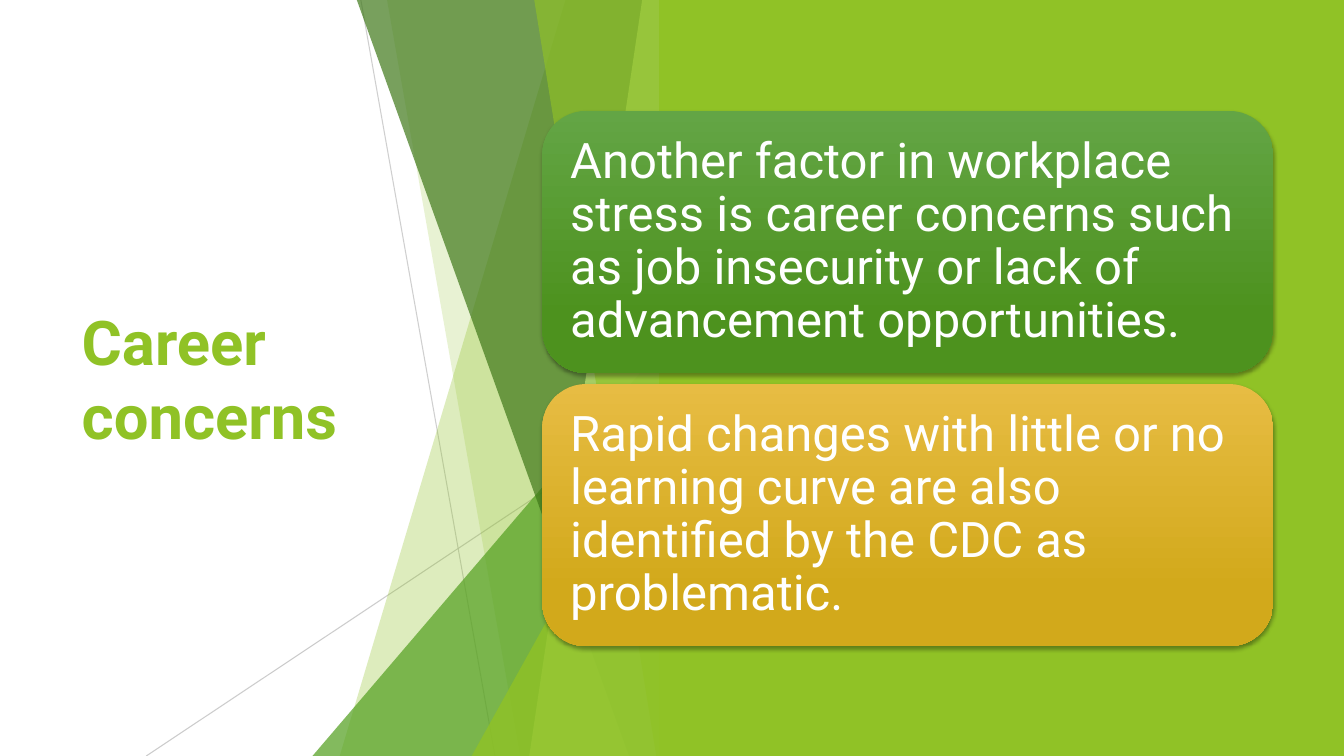
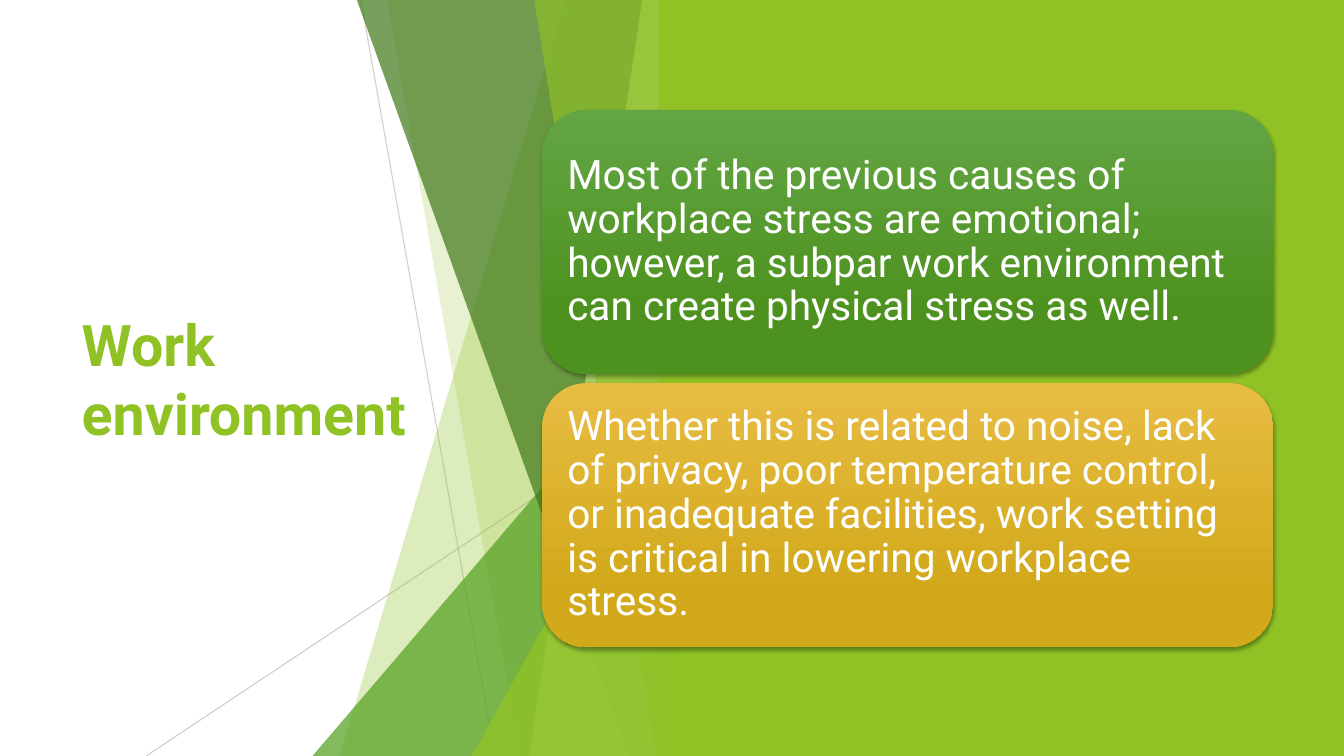
from dataclasses import dataclass

from lxml import etree
from pptx import Presentation
from pptx import util as u
from pptx.dml.color import RGBColor
from pptx.enum import shapes, text
from pptx.oxml import ns

# Slide size; every place below is a percentage of it
WIDE, HIGH = u.Inches(40 / 3), u.Inches(7.5)

# Colours and type
FONT = "Roboto"
WHITE = RGBColor(0xFF, 0xFF, 0xFF)
GRAY = RGBColor(0xBF, 0xBF, 0xBF)
LIME = RGBColor(0x90, 0xC2, 0x26)
PALE = RGBColor(0xC0, 0xE4, 0x74)
GREEN = RGBColor(0x54, 0xA0, 0x21)
DARK = RGBColor(0x3F, 0x78, 0x19)
FADES = (
    (RGBColor(0x63, 0xA5, 0x45), RGBColor(0x4D, 0x92, 0x1E)),
    (RGBColor(0xE7, 0xBC, 0x43), RGBColor(0xD2, 0xA9, 0x1B)),
)

# Layout
EDGE = 50  # right side of all facets
PANEL = 49.05
TITLE = (5.33, 20.13, 29.1, 59.73)
LEFT, SPAN = 40.35, 54.38  # cards
MID, PITCH = 50.07, 36.13


@dataclass
class Ray:
    x1: float
    y1: float
    x2: float
    y2: float
    alpha: int


@dataclass
class Shard:
    """Full-height facet with a slanted left side."""
    top: float
    foot: float
    color: RGBColor
    alpha: int


@dataclass
class Wedge:
    """Triangle rising to the right edge."""
    left: float
    top: float
    color: RGBColor
    alpha: int


@dataclass
class Page:
    title: str
    size: int
    cards: tuple[str, str]
    points: int
    tall: float
    inset: float


RAYS = (
    Ray(26.85, 0, 36.83, 100, 75),
    Ray(EDGE, 53.73, 10.88, 100, 80),
)
FACETS = (
    Shard(42.08, 25.28, LIME, 30),
    Shard(28.8, 38.7, LIME, 20),
    Wedge(23.25, 44.4, GREEN, 72),
    Shard(26.55, 46.8, DARK, 70),
    Shard(47.78, 39.38, PALE, 70),
    Shard(39.75, 48.83, LIME, 65),
    Wedge(35.1, 52.4, LIME, 80),
)
PAGES = (
    Page("Career concerns", 44, (
        "Another factor in workplace stress is career concerns such as job "
        "insecurity or lack of advancement opportunities.",
        "Rapid changes with little or no learning curve are also identified "
        "by the CDC as problematic.",
    ), 35, 34.67, 0.15),
    Page("Work environment", 41, (
        "Most of the previous causes of workplace stress are emotional; "
        "however, a subpar work environment can create physical stress as well.",
        "Whether this is related to noise, lack of privacy, poor temperature "
        "control, or inadequate facilities, work setting is critical in "
        "lowering workplace stress.",
    ), 29, 34.93, 0.12),
)


def across(share: float) -> int:
    return round(WIDE * share / 100)


def down(share: float) -> int:
    return round(HIGH * share / 100)


def place(x: float, y: float, w: float, h: float) -> tuple[int, int, int, int]:
    return across(x), down(y), across(w), down(h)


def fade(part, alpha: int) -> None:
    """Set the opacity of the first colour found in a shape or line."""
    color = next(part.iter(ns.qn("a:srgbClr")))
    etree.SubElement(color, ns.qn("a:alpha"), val=str(alpha * 1000))


def effect(shape):
    return etree.SubElement(shape._element.spPr, ns.qn("a:effectLst"))


def paint(shape, color: RGBColor, alpha: int = 100) -> None:
    shape.shadow.inherit = False
    shape.line.fill.background()
    shape.fill.solid()
    shape.fill.fore_color.rgb = color
    if alpha < 100:
        fade(shape._element.spPr, alpha)


def write(frame, words: str, size: int, color: RGBColor, bold: bool = False):
    frame.word_wrap = True
    frame.auto_size = text.MSO_AUTO_SIZE.NONE
    frame.vertical_anchor = text.MSO_ANCHOR.MIDDLE
    para = frame.paragraphs[0]
    para.alignment = text.PP_ALIGN.LEFT
    run = para.add_run()
    run.text = words
    run.font.name = FONT
    run.font.size = u.Pt(size)
    run.font.bold = bold
    run.font.color.rgb = color
    return para


def draw_ray(slide, ray: Ray) -> None:
    line = slide.shapes.add_connector(
        shapes.MSO_CONNECTOR.STRAIGHT,
        across(ray.x1), down(ray.y1), across(ray.x2), down(ray.y2))
    line.line.color.rgb = GRAY
    line.line.width = u.Pt(0.75)
    fade(line._element.spPr, ray.alpha)
    effect(line)


def draw_facet(slide, facet: Shard | Wedge) -> None:
    if isinstance(facet, Shard):
        pen = slide.shapes.build_freeform(across(facet.top), 0)
        pen.add_line_segments(
            [(across(EDGE), 0), (across(EDGE), HIGH), (across(facet.foot), HIGH)])
        shape = pen.convert_to_shape()
    else:
        shape = slide.shapes.add_shape(
            shapes.MSO_SHAPE.ISOSCELES_TRIANGLE,
            *place(facet.left, facet.top, EDGE - facet.left, 100 - facet.top))
        shape.adjustments[0] = 1
    paint(shape, facet.color, facet.alpha)


def draw_card(slide, page: Page, index: int) -> None:
    top = MID + (index - 0.5) * PITCH - page.tall / 2
    card = slide.shapes.add_shape(
        shapes.MSO_SHAPE.ROUNDED_RECTANGLE, *place(LEFT, top, SPAN, page.tall))
    card.line.fill.background()
    card.fill.gradient()
    card.fill.gradient_angle = 270
    for stop, color, spot in zip(card.fill.gradient_stops, FADES[index], (0, 0.78)):
        stop.color.rgb = color
        stop.position = spot
    # Soft shadow below the card
    shade = etree.SubElement(
        effect(card), ns.qn("a:outerShdw"), blurRad=str(u.Pt(3)),
        dist=str(u.Pt(2)), dir="5400000", rotWithShape="0")
    etree.SubElement(shade, ns.qn("a:srgbClr"), val="000000")
    fade(shade, 35)
    # Words
    frame = card.text_frame
    frame.margin_left = frame.margin_right = u.Inches(page.inset)
    frame.margin_top = frame.margin_bottom = u.Inches(page.inset)
    write(frame, page.cards[index], page.points, WHITE).line_spacing = 0.9


def draw_page(deck, page: Page) -> None:
    slide = deck.slides.add_slide(deck.slide_layouts[5])
    # Title
    title = slide.shapes.title
    title.left, title.top, title.width, title.height = place(*TITLE)
    write(title.text_frame, page.title, page.size, LIME, True)
    # Facets and side panel
    for ray in RAYS:
        draw_ray(slide, ray)
    for facet in FACETS:
        draw_facet(slide, facet)
    panel = slide.shapes.add_shape(
        shapes.MSO_SHAPE.RECTANGLE, *place(PANEL, 0, 100 - PANEL, 100))
    paint(panel, LIME)
    # Cards
    for index in range(len(page.cards)):
        draw_card(slide, page, index)


def main() -> None:
    deck = Presentation()
    deck.slide_width, deck.slide_height = WIDE, HIGH
    for page in PAGES:
        draw_page(deck, page)
    deck.save("out.pptx")


if __name__ == "__main__":
    main()
